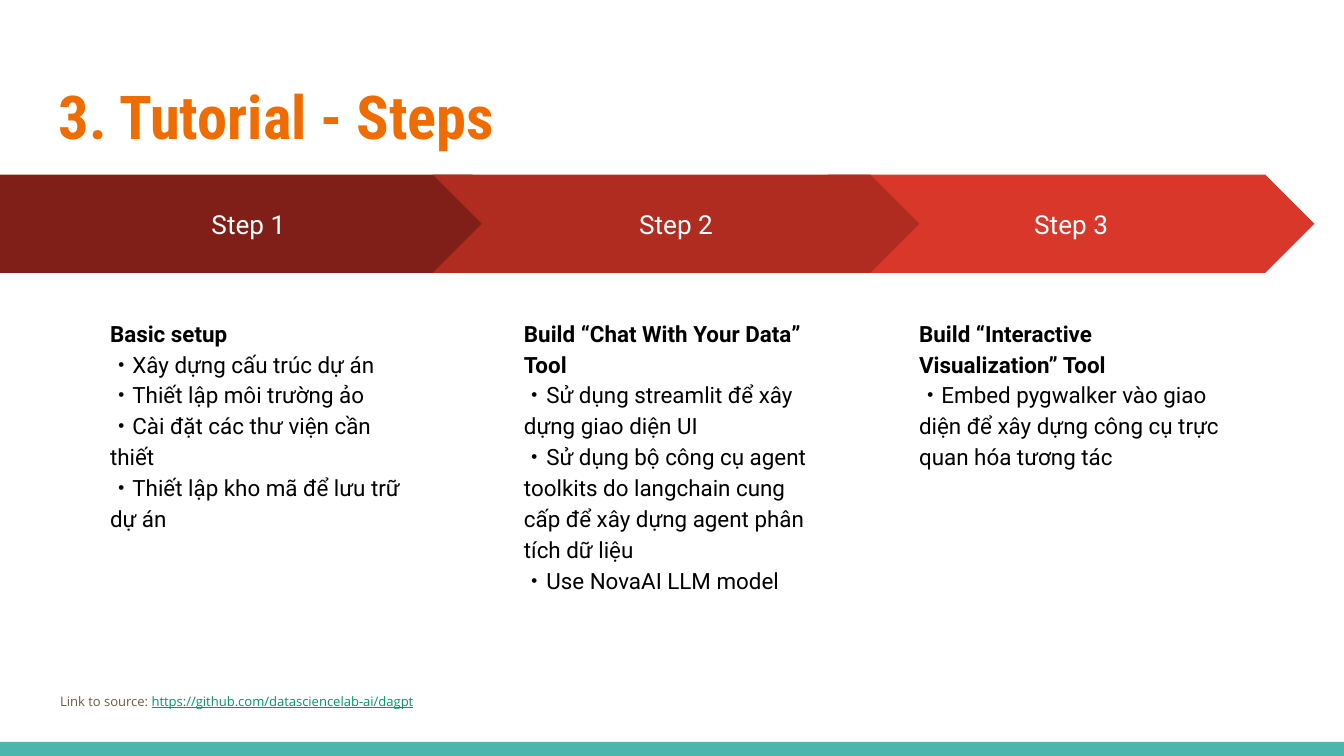
"""Build the tutorial slide with three steps, their details and a source link."""
import pptx
import pptx.dml.color
import pptx.enum.shapes
import pptx.enum.text
import pptx.util

Inches = pptx.util.Inches
Pt = pptx.util.Pt
RGBColor = pptx.dml.color.RGBColor
Shape = pptx.enum.shapes.MSO_SHAPE
Align = pptx.enum.text.PP_ALIGN
Anchor = pptx.enum.text.MSO_ANCHOR

PAGE_WIDTH = 10
PAGE_HEIGHT = PAGE_WIDTH * 9 / 16

TEAL = RGBColor(0x4D, 0xB6, 0xAC)
ORANGE = RGBColor(0xEF, 0x6C, 0x00)
BROWN = RGBColor(0x69, 0x5D, 0x46)
GREEN = RGBColor(0x00, 0x96, 0x68)
DARK_RED = RGBColor(0x80, 0x1F, 0x17)
MID_RED = RGBColor(0xB0, 0x2B, 0x20)
BRIGHT_RED = RGBColor(0xD8, 0x37, 0x29)
WHITE = RGBColor(0xFF, 0xFF, 0xFF)
BLACK = RGBColor(0x00, 0x00, 0x00)

TITLE = {"name": "Roboto Condensed", "size": Pt(32.4), "bold": True}
LABEL = {"name": "Roboto", "size": Pt(14)}
HEADING = {"name": "Roboto", "size": Pt(12), "bold": True}
DETAIL = {"name": "Roboto", "size": Pt(12), "bold": False}
CAPTION = {"name": "Open Sans", "size": Pt(7)}
LINK = {**CAPTION, "underline": True}

STEPS = [
    ("Step 3", Shape.CHEVRON, BRIGHT_RED, 6.16, 3.62, 6.74,
     "Build “Interactive Visualization” Tool",
     ["Embed pygwalker vào giao diện để xây dựng công cụ trực quan hóa tương tác"]),
    ("Step 1", Shape.PENTAGON, DARK_RED, 0, 3.88, 0.72,
     "Basic setup",
     ["Xây dựng cấu trúc dự án",
      "Thiết lập môi trường ảo",
      "Cài đặt các thư viện cần thiết",
      "Thiết lập kho mã để lưu trữ dự án"]),
    ("Step 2", Shape.CHEVRON, MID_RED, 3.22, 3.62, 3.8,
     "Build “Chat With Your Data” Tool",
     ["Sử dụng streamlit để xây dựng giao diện UI",
      "Sử dụng bộ công cụ agent toolkits do langchain cung cấp để xây dựng agent phân tích dữ liệu",
      "Use NovaAI LLM model"]),
]


def add_span(para, text, style, color):
    """Append one formatted run to a paragraph."""
    span = para.add_run()
    span.text = text
    for attribute, value in style.items():
        setattr(span.font, attribute, value)
    span.font.color.rgb = color


def set_frame(frame, anchor):
    """Give a text frame wrapping, even margins and an anchor."""
    settings = {"word_wrap": True, "vertical_anchor": anchor}
    for side in ("left", "top", "right", "bottom"):
        settings[f"margin_{side}"] = Inches(0.1)
    for attribute, value in settings.items():
        setattr(frame, attribute, value)


def add_text(page, left, top, width, height, paragraphs, spacing=1.0):
    """Add a text box from lists of (text, style, color) spans."""
    box = page.shapes.add_textbox(Inches(left), Inches(top), Inches(width), Inches(height))
    frame = box.text_frame
    set_frame(frame, Anchor.TOP)
    for index, spans in enumerate(paragraphs):
        para = frame.add_paragraph() if index else frame.paragraphs[0]
        para.line_spacing = spacing
        for text, style, color in spans:
            add_span(para, text, style, color)


def add_block(page, kind, left, top, width, height, color):
    """Add a flat filled shape without an outline."""
    block = page.shapes.add_shape(kind, Inches(left), Inches(top), Inches(width), Inches(height))
    block.shadow.inherit = False
    block.fill.solid()
    block.fill.fore_color.rgb = color
    block.line.fill.background()
    return block


def add_step(page, label, kind, color, left, width, text_left, heading, details):
    """Add a labelled arrow with its heading and bullet details below."""
    arrow = add_block(page, kind, left, 1.3, width, 0.73, color)
    arrow.adjustments[0] = 0.5
    set_frame(arrow.text_frame, Anchor.MIDDLE)
    para = arrow.text_frame.paragraphs[0]
    para.alignment = Align.CENTER
    add_span(para, label, LABEL, WHITE)
    paragraphs = [[(heading, HEADING, BLACK)]]
    paragraphs += [[("・" + detail, DETAIL, BLACK)] for detail in details]
    add_text(page, text_left, 2.25, 2.45, 2.86, paragraphs, 1.15)


def main():
    """Build and save the deck."""
    deck = pptx.Presentation()
    deck.slide_width = Inches(PAGE_WIDTH)
    deck.slide_height = Inches(PAGE_HEIGHT)
    page = deck.slides.add_slide(deck.slide_layouts[6])
    add_block(page, Shape.RECTANGLE, 0, 5.52, PAGE_WIDTH, 0.11, TEAL)
    add_text(page, 0.34, 0.49, 9.32, 0.77, [[("3. Tutorial - Steps", TITLE, ORANGE)]])
    add_text(page, 0.35, 5.1, 9.3, 0.32, [[
        ("Link to source: ", CAPTION, BROWN),
        ("https://github.com/datasciencelab-ai/dagpt", LINK, GREEN),
    ]])
    for step in STEPS:
        add_step(page, *step)
    deck.save("out.pptx")


if __name__ == "__main__":
    main()
